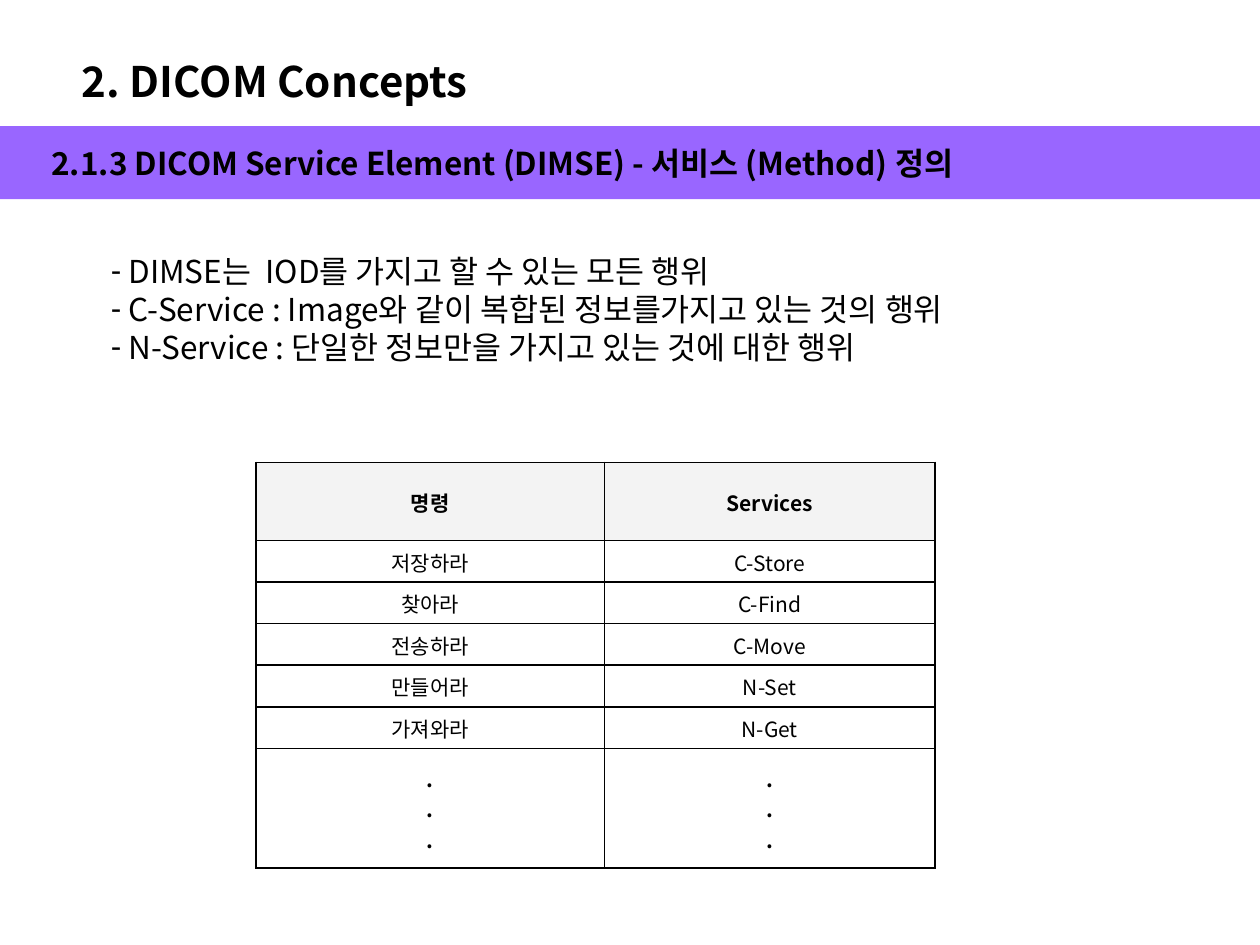
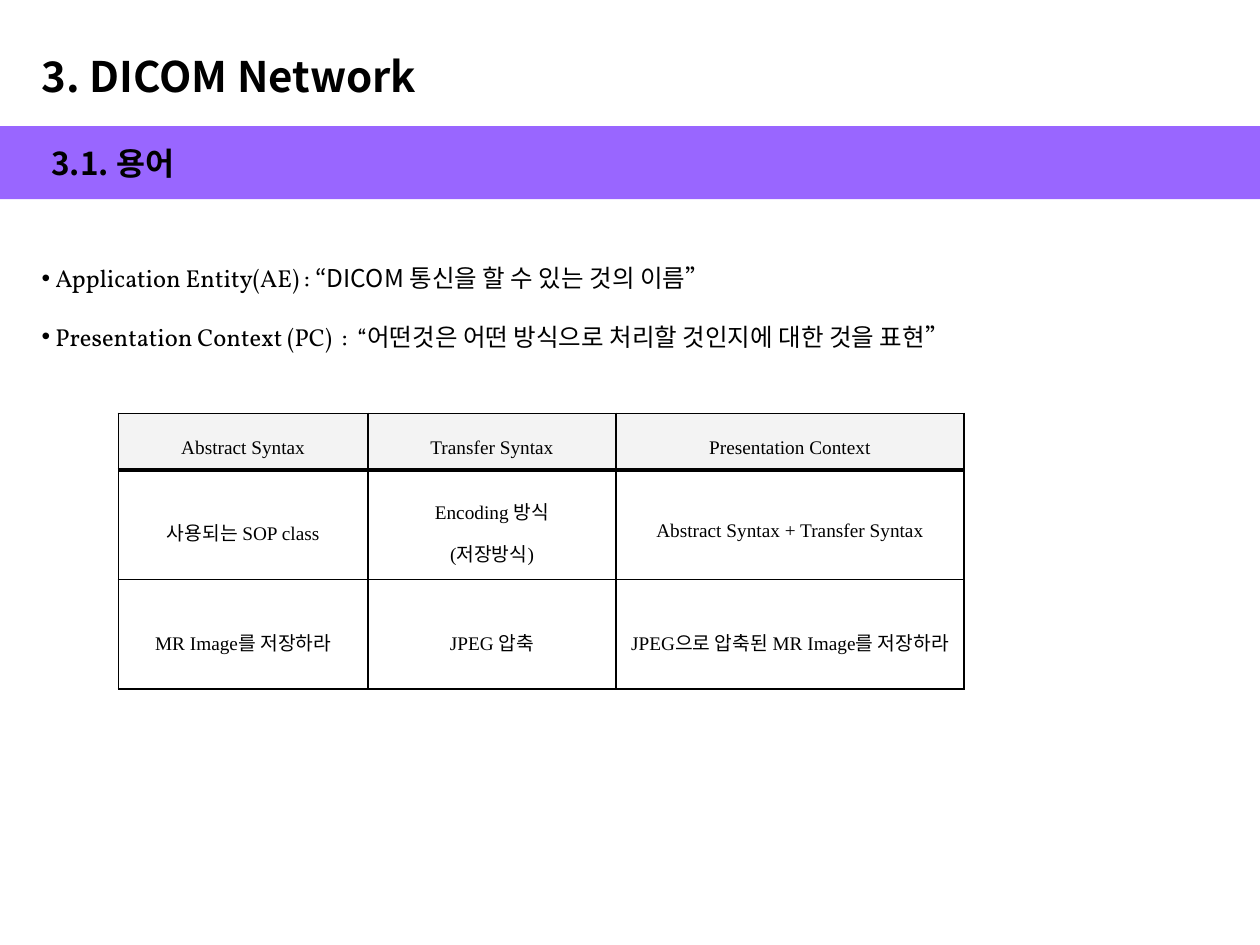
from lxml.etree import SubElement
from pptx import Presentation
from pptx.dml.color import RGBColor
from pptx.enum.shapes import MSO_SHAPE as Shape
from pptx.enum.text import MSO_ANCHOR as Anchor, MSO_AUTO_SIZE as AutoSize, PP_ALIGN as Align
from pptx.oxml.ns import qn
from pptx.util import Pt

PX = 9144  # 100 px to the inch
BLACK, VIOLET, GREY = "000000", "9966FF", "F3F3F3"
SANS, SERIF, BOOK = "Noto Sans CJK KR", "Times New Roman", "Vollkorn"


def paint(fill, color):
    fill.solid()
    fill.fore_color.rgb = RGBColor.from_string(color)


def write(frame, lines, size, font=SANS, bold=False, align=Align.LEFT,
          anchor=Anchor.TOP, spacing=1.0, bullet=None, indent=0):
    """Fill a frame; a line is a string or a list of (text, font) spans."""
    frame.word_wrap = True
    frame.vertical_anchor = anchor
    for number, line in enumerate(lines):
        para = frame.paragraphs[0] if number == 0 else frame.add_paragraph()
        if bullet:
            props = para._p.get_or_add_pPr()
            props.set("marL", str(indent * PX))
            props.set("indent", str(-indent * PX))
            SubElement(props, qn("a:buChar")).set("char", bullet)
        para.alignment = align
        para.line_spacing = spacing
        para.space_before = Pt(0)
        for text, name in [(line, font)] if isinstance(line, str) else line:
            span = para.add_run()
            span.text = text
            span.font.size = Pt(size)
            span.font.bold = bold
            span.font.name = name
            paint(span.font.fill, BLACK)
            SubElement(span._r.get_or_add_rPr(), qn("a:ea")).set("typeface", SANS)


services = [
    ("명령", "Services"),
    ("저장하라", "C-Store"),
    ("찾아라", "C-Find"),
    ("전송하라", "C-Move"),
    ("만들어라", "N-Set"),
    ("가져와라", "N-Get"),
    (".\n.\n.", ".\n.\n."),
]
contexts = [
    ("Abstract Syntax", "Transfer Syntax", "Presentation Context"),
    ("사용되는 SOP class", "Encoding 방식\n(저장방식)", "Abstract Syntax + Transfer Syntax"),
    ("MR Image를 저장하라", "JPEG 압축", "JPEG으로 압축된 MR Image를 저장하라"),
]
pages = [
    dict(
        title="2. DICOM Concepts", title_at=(55, 39, 335, 50),
        heading="2.1.3 DICOM Service Element (DIMSE) - 서비스 (Method) 정의",
        points=[
            "DIMSE는  IOD를 가지고 할 수 있는 모든 행위",
            "C-Service : Image와 같이 복합된 정보를가지고 있는 것의 행위",
            "N-Service : 단일한 정보만을 가지고 있는 것에 대한 행위",
        ],
        points_at=(78, 195, 797, 101),
        points_format=dict(size=18, bullet="-", indent=14),
        rows=services, table_at=(203, 367), widths=(277, 262),
        heights=(62, 33, 33, 33, 33, 33, 95),
        fonts=(SERIF, SANS), cell_format=dict(size=12),
        bold_rows=(0, 6), header_rule=1,
    ),
    dict(
        title="3. DICOM Network", title_at=(23, 35, 326, 50),
        heading="3.1. 용어",
        points=[
            [("Application Entity(AE) : ", BOOK), ("“DICOM 통신을 할 수 있는 것의 이름”", SANS)],
            [("Presentation Context (PC)  :  “어떤것은 어떤 방식으로 처리할 것인지에 대한 것을 표현”", BOOK)],
        ],
        points_at=(23, 180, 793, 104),
        points_format=dict(size=14, bullet="•", indent=11, spacing=2.0, anchor=Anchor.MIDDLE),
        rows=contexts, table_at=(94, 328), widths=(198, 197, 276),
        heights=(45, 87, 87),
        fonts=(SERIF, SERIF, SERIF), cell_format=dict(size=11, spacing=1.5),
        bold_rows=(), header_rule=2.5,
    ),
]

deck = Presentation()
deck.slide_width, deck.slide_height = 1000 * PX, 750 * PX

for content in pages:
    page = deck.slides.add_slide(deck.slide_layouts[1])
    title, body = page.placeholders
    for box, place in ((title, content["title_at"]), (body, content["points_at"])):
        box.left, box.top, box.width, box.height = [length * PX for length in place]
        box.text_frame.auto_size = AutoSize.NONE
    write(title.text_frame, [content["title"]], 24, bold=True)
    write(body.text_frame, content["points"], **content["points_format"])

    band = page.shapes.add_shape(Shape.RECTANGLE, 0, 100 * PX, 1000 * PX, 58 * PX)
    band.shadow.inherit = False
    paint(band.fill, VIOLET)
    band.line.fill.background()
    heading = page.shapes.add_textbox(31 * PX, 109 * PX, 792 * PX, 40 * PX)
    write(heading.text_frame, [content["heading"]], 18, bold=True)

    rows, widths, heights = content["rows"], content["widths"], content["heights"]
    left, top = content["table_at"]
    table = page.shapes.add_table(len(rows), len(widths), left * PX, top * PX,
                                  sum(widths) * PX, sum(heights) * PX).table
    table.first_row = table.horz_banding = False
    for column, width in zip(table.columns, widths):
        column.width = width * PX
    for r, (texts, height) in enumerate(zip(rows, heights)):
        table.rows[r].height = height * PX
        for c, (text, font) in enumerate(zip(texts, content["fonts"])):
            cell = table.cell(r, c)
            cell.margin_left = cell.margin_right = cell.margin_top = PX
            cell.margin_bottom = 0
            cell.vertical_anchor = Anchor.MIDDLE
            write(cell.text_frame, text.split("\n"), font=SANS if text.startswith(".") else font,
                  bold=r in content["bold_rows"], align=Align.CENTER,
                  anchor=Anchor.MIDDLE, **content["cell_format"])
            props = cell._tc.get_or_add_tcPr()
            for side in ("lnL", "lnR", "lnT", "lnB"):
                under_header = (r, side) in ((0, "lnB"), (1, "lnT"))
                rule = SubElement(props, qn(f"a:{side}"))
                rule.set("w", str(Pt(content["header_rule"] if under_header else 1)))
                ink = SubElement(rule, qn("a:solidFill"))
                SubElement(ink, qn("a:srgbClr")).set("val", BLACK)
            if r == 0:
                paint(cell.fill, GREY)
            else:
                cell.fill.background()

deck.save("out.pptx")
